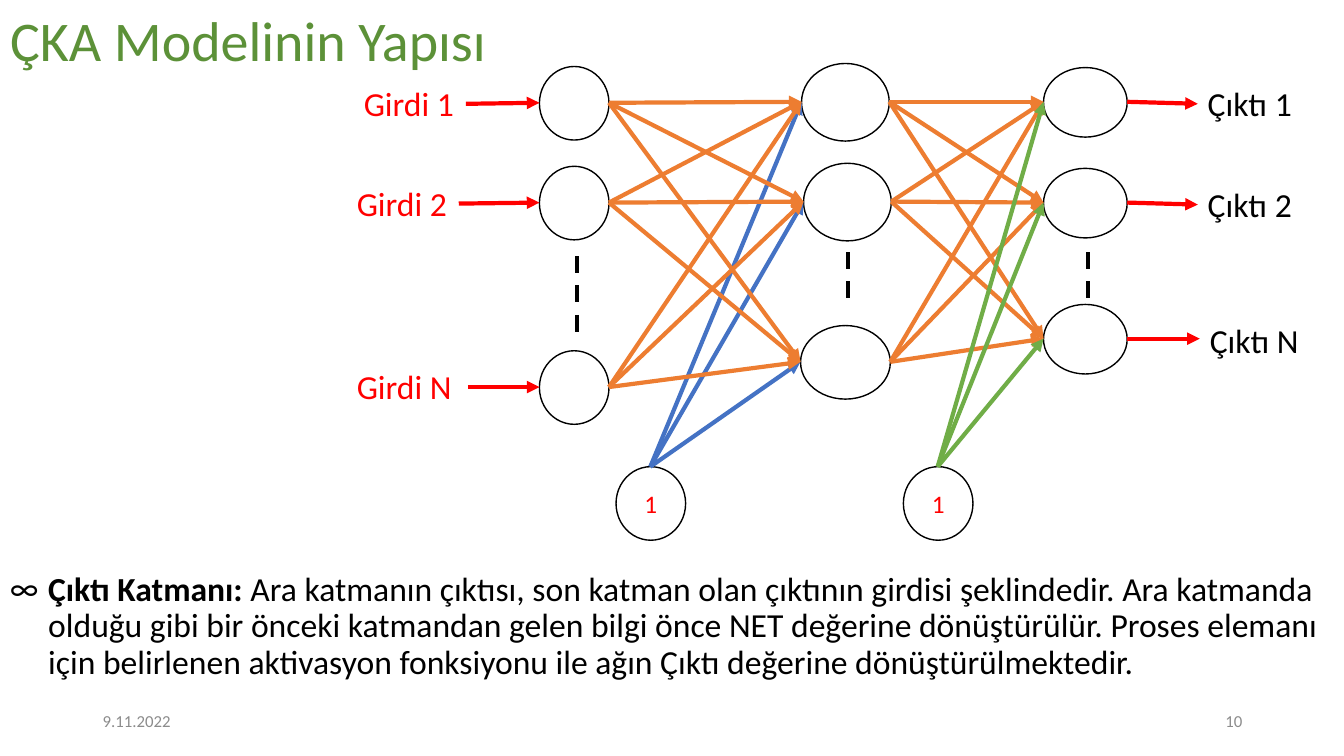
from itertools import product

from lxml.etree import SubElement
from pptx import Presentation
from pptx.dml.color import RGBColor
from pptx.enum.dml import MSO_LINE
from pptx.enum.shapes import MSO_CONNECTOR, MSO_SHAPE
from pptx.enum.text import MSO_ANCHOR, PP_ALIGN
from pptx.oxml.ns import qn
from pptx.util import Pt

SCALE = 9144
FONT = "Calibri"
COLORS = {
    "title": "5C9138",
    "foot": "8C8C8C",
    "red": "FF0000",
    "black": "000000",
    "orange": "ED7D31",
    "blue": "4472C4",
    "green": "70AD47",
}


def px(*values):
    return [value * SCALE for value in values]


def rgb(name):
    return RGBColor.from_string(COLORS[name])


def style(para, size, color, align=PP_ALIGN.LEFT):
    para.font.name = FONT
    para.font.size = Pt(size)
    para.font.color.rgb = rgb(color)
    para.alignment = align


def add_text(slide, box, text, size, color, align=PP_ALIGN.LEFT,
             anchor=MSO_ANCHOR.TOP):
    frame = slide.shapes.add_textbox(*px(*box)).text_frame
    frame.word_wrap = True
    frame.vertical_anchor = anchor
    para = frame.paragraphs[0]
    para.text = text
    style(para, size, color, align)
    return para


def add_label(slide, box, text, color):
    para = add_text(slide, box, text, 24, color)
    para.line_spacing = 0.9
    para.space_before = Pt(10)


def add_node(slide, box, text=""):
    node = slide.shapes.add_shape(MSO_SHAPE.OVAL, *px(*box))
    node.shadow.inherit = False
    node.fill.background()
    node.line.color.rgb = rgb("black")
    node.line.width = Pt(1)
    if text:
        frame = node.text_frame
        frame.vertical_anchor = MSO_ANCHOR.MIDDLE
        frame.paragraphs[0].text = text
        style(frame.paragraphs[0], 18, "red", PP_ALIGN.CENTER)


def add_line(slide, start, end, color):
    line = slide.shapes.add_connector(
        MSO_CONNECTOR.STRAIGHT, *px(*start, *end))
    line.line.color.rgb = rgb(color)
    line.line.width = Pt(3)
    SubElement(line._element.spPr, qn("a:effectLst"))
    return line


def add_arrow(slide, start, end, color):
    line = add_line(slide, start, end, color)
    SubElement(line.line._get_or_add_ln(), qn("a:tailEnd"), type="triangle")


def add_dash(slide, x, top, end):
    add_line(slide, (x, top), (x, end), "black").line.dash_style = MSO_LINE.DASH


def left(box):
    x, y, width, height = box
    return x, y + height // 2


def right(box):
    x, y, width, height = box
    return x + width, y + height // 2


def top(box):
    x, y, width, height = box
    return x + width // 2, y


def add_title(slide, text):
    title = slide.shapes.title
    title.left, title.top, title.width, title.height = px(0, 0, 897, 78)
    frame = title.text_frame
    frame.vertical_anchor = MSO_ANCHOR.BOTTOM
    para = frame.paragraphs[0]
    para.text = text
    para.line_spacing = 0.9
    style(para, 40, "title")


def add_body(slide, head, text):
    para = add_text(slide, (0, 563, 1333, 115), head, 24, "black")
    para.runs[0].font.bold = True
    para.add_run().text = text
    para.line_spacing = 0.9
    para.space_before = Pt(10)
    props = para._p.get_or_add_pPr()
    indent = 38 * SCALE
    props.set("marL", str(indent))
    props.set("indent", str(-indent))
    SubElement(props, qn("a:buFont"), typeface=FONT)
    SubElement(props, qn("a:buChar"), char="∞")


def add_net(slide):
    inputs = [(535, y, 69, 73) for y in (66, 165, 348)]
    hidden = [(795, 63, 87, 77), (797, 162, 87, 77), (794, 323, 89, 73)]
    outputs = [(1035, y, 83, 69) for y in (67, 167, 302)]
    biases = [(x, 463, 69, 73) for x in (611, 896)]

    for node in inputs + hidden + outputs:
        add_node(slide, node)
    for node in biases:
        add_node(slide, node, "1")

    for bias, layer, color in zip(biases, (hidden, outputs), ("blue", "green")):
        for node in layer:
            add_arrow(slide, top(bias), left(node), color)
        if layer is hidden:
            links = [*product(inputs, hidden), *product(hidden, outputs)]
            for source, target in links:
                add_arrow(slide, right(source), left(target), "orange")

    starts = [(462, 103), (455, 202), (464, 384)]
    spots = [(351, 82), (344, 181), (344, 363)]
    for mark, node, start, spot in zip("12N", inputs, starts, spots):
        add_arrow(slide, start, left(node), "red")
        add_label(slide, (*spot, 119, 42), f"Girdi {mark}", "red")

    ends = [(1188, 103), (1188, 203), (1190, 336)]
    for mark, node, end in zip("12N", outputs, ends):
        add_arrow(slide, right(node), end, "red")
        add_label(slide, (end[0], node[1] + 15, 111, 42),
                  f"Çıktı {mark}", "black")

    add_dash(slide, 572, 254, 341)
    for x in (841, 1079):
        add_dash(slide, x, 250, 302)


def main():
    deck = Presentation()
    deck.slide_width, deck.slide_height = px(1333, 750)
    slide = deck.slides.add_slide(deck.slide_layouts[5])
    add_title(slide, "ÇKA Modelinin Yapısı")
    add_net(slide)
    add_body(
        slide,
        "Çıktı Katmanı: ",
        "Ara katmanın çıktısı, son katman olan çıktının girdisi şeklindedir. "
        "Ara katmanda olduğu gibi bir önceki katmandan gelen bilgi önce NET "
        "değerine dönüştürülür. Proses elemanı için belirlenen aktivasyon "
        "fonksiyonu ile ağın Çıktı değerine dönüştürülmektedir.",
    )
    add_text(slide, (92, 695, 300, 40), "9.11.2022", 12, "foot",
             anchor=MSO_ANCHOR.MIDDLE)
    add_text(slide, (942, 695, 300, 40), "10", 12, "foot",
             PP_ALIGN.RIGHT, MSO_ANCHOR.MIDDLE)
    deck.save("out.pptx")


if __name__ == "__main__":
    main()
